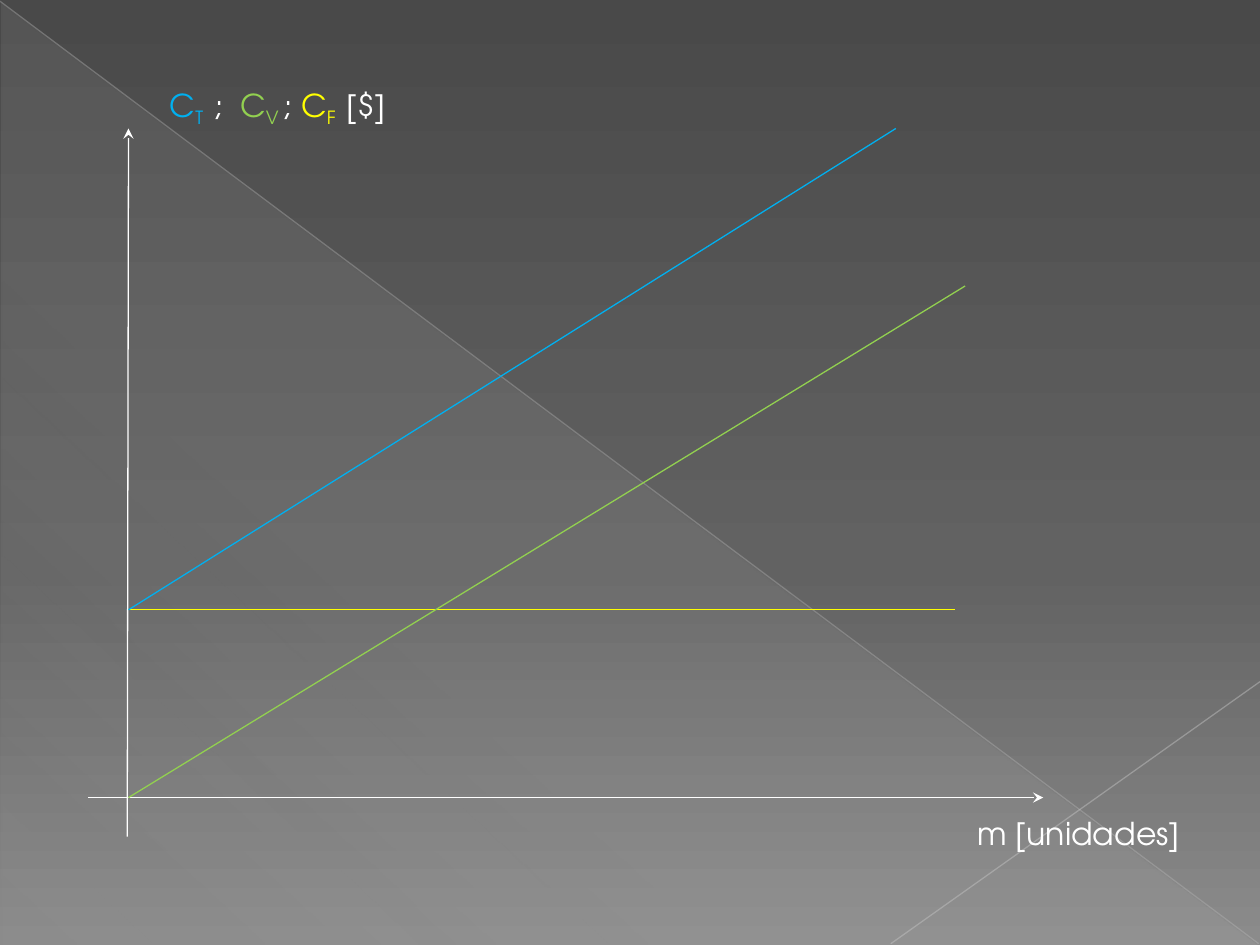
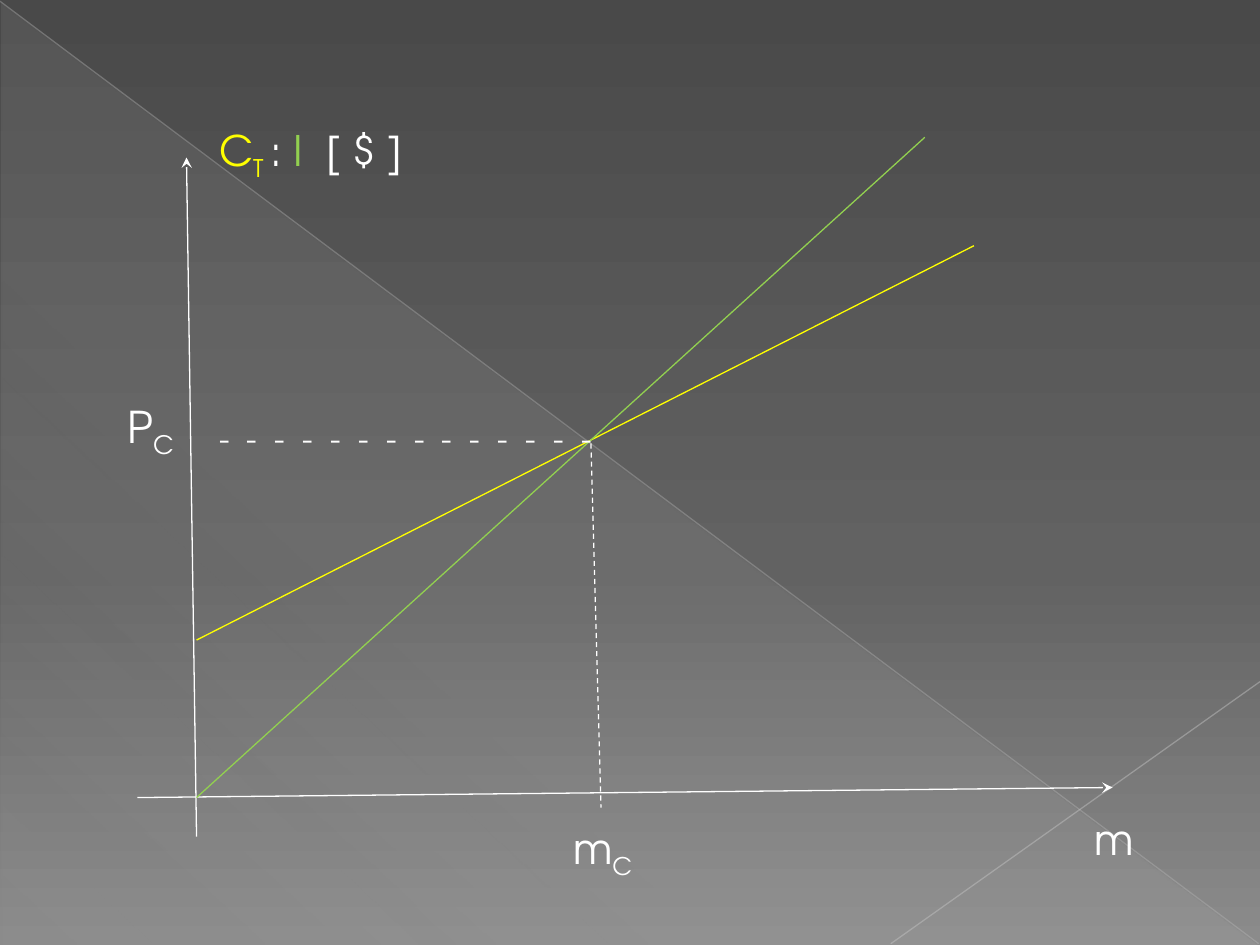
import dataclasses

import lxml.etree
import pptx
import pptx.dml.color
import pptx.enum.dml
import pptx.enum.shapes
import pptx.enum.text
import pptx.oxml.ns
import pptx.util

Inches = pptx.util.Inches
Pt = pptx.util.Pt
qn = pptx.oxml.ns.qn
rgb = pptx.dml.color.RGBColor.from_string


@dataclasses.dataclass(frozen=True)
class Theme:
    font: str = "TeX Gyre Adventor"
    white: str = "FFFFFF"
    yellow: str = "FFFF00"
    green: str = "92D050"
    blue: str = "00B0F0"
    small: int = 18
    large: int = 24
    mark: int = 25
    thin: float = 0.75
    # Gradient stops: position, colour, opacity (all in percent)
    back: tuple = ((0, "494949", 100), (60, "626262", 100), (100, "8B8B8B", 100))
    veil: tuple = ((0, "D2D2D2", 10), (70, "D2D2D2", 8), (100, "D2D2D2", 1))
    # Crossing lines: start, end, colour, opacity
    rays: tuple = (((0, 0.01), (9.99, 7.49), "BEBEBE", 35),
                   ((10, 5.41), (7.07, 7.49), "C5C5C5", 45))


theme = Theme()
SUB = {"baseline": "-25000"}
WIDE_SUB = {**SUB, "spc": "165"}


def add_line(slide, start, end, colour, arrow=False, dash=False, alpha=100):
    line = slide.shapes.add_connector(
        pptx.enum.shapes.MSO_CONNECTOR.STRAIGHT, *map(Inches, start + end))
    line.line.width = Pt(theme.thin)
    line.line.color.rgb = rgb(colour)
    props = line.element.spPr
    if dash:
        line.line.dash_style = pptx.enum.dml.MSO_LINE.DASH
    if alpha < 100:
        tone = props.find(".//" + qn("a:srgbClr"))
        lxml.etree.SubElement(tone, qn("a:alpha"), val=str(alpha * 1000))
    if arrow:
        lxml.etree.SubElement(props.find(qn("a:ln")), qn("a:tailEnd"), type="stealth")
    lxml.etree.SubElement(props, qn("a:effectLst"))


def add_label(slide, box, size, runs, left=0.1):
    """Write runs of (text, colour, run attributes) in one text box."""
    frame = slide.shapes.add_textbox(*map(Inches, box)).text_frame
    layout = {"word_wrap": True, "margin_left": Inches(left),
              "auto_size": pptx.enum.text.MSO_AUTO_SIZE.SHAPE_TO_FIT_TEXT}
    for name, value in layout.items():
        setattr(frame, name, value)
    for text, colour, extra in runs:
        run = frame.paragraphs[0].add_run()
        run.text = text
        for name, value in {"name": theme.font, "size": Pt(size)}.items():
            setattr(run.font, name, value)
        run.font.color.rgb = rgb(colour)
        for name, value in extra.items():
            run.font._element.set(name, value)


# Each line: start, end, colour, options
costs = {
    "lines": [
        ((1.01, 6.64), (1.02, 1.02), theme.white, {"arrow": True}),
        ((0.7, 6.33), (8.28, 6.33), theme.white, {"arrow": True}),
        ((1.02, 4.84), (7.58, 4.84), theme.yellow, {}),
        ((1.02, 6.33), (7.66, 2.27), theme.green, {}),
        ((1.02, 4.84), (7.11, 1.02), theme.blue, {}),
    ],
    "labels": [
        ((1.25, 0.63, 2.73, 0.4), theme.small, [
            ("C", theme.blue, {}), ("T ", theme.blue, WIDE_SUB),
            ("; ", theme.white, {"spc": "250"}),
            ("C", theme.green, {}), ("V ", theme.green, SUB),
            ("; ", theme.white, {}),
            ("C", theme.yellow, {}), ("F ", theme.yellow, WIDE_SUB),
            ("[$]", theme.white, {})]),
        ((7.66, 6.41, 2.34, 0.4), theme.small, [("m [unidades]", theme.white, {})]),
    ],
}
balance = {
    "lines": [
        ((1.09, 6.33), (8.83, 6.25), theme.white, {"arrow": True}),
        ((1.56, 6.64), (1.48, 1.25), theme.white, {"arrow": True}),
        ((1.56, 5.08), (7.73, 1.95), theme.yellow, {}),
        ((1.56, 6.33), (7.34, 1.09), theme.green, {}),
        ((4.69, 3.52), (4.77, 6.41), theme.white, {"dash": True}),
    ],
    "labels": [
        ((1.64, 3.28, 3.2, 0.4), theme.small, [
            (" ".join("-" * 14), theme.white, {"spc": "250"})]),
        ((1.64, 0.94, 2.11, 0.5), theme.large, [
            ("C", theme.yellow, {}), ("T ", theme.yellow, SUB),
            (": ", theme.white, {}), ("I ", theme.green, {"spc": "330"}),
            ("[ $ ]", theme.white, {})]),
        ((0.62, 3.12, 1.02, 0.52), theme.mark, [
            ("P", theme.white, {}), ("C", theme.white, SUB)], 0.39),
        ((4.45, 6.48, 0.86, 0.5), theme.large, [
            ("m", theme.white, {}), ("C", theme.white, SUB)]),
        ((8.59, 6.41, 0.94, 0.5), theme.large, [("m", theme.white, {})]),
    ],
}

deck = pptx.Presentation()
deck.slide_width, deck.slide_height = Inches(10), Inches(7.5)

for graph in (costs, balance):
    slide = deck.slides.add_slide(deck.slide_layouts[6])
    wedge = slide.shapes.add_shape(
        pptx.enum.shapes.MSO_SHAPE.RIGHT_TRIANGLE,
        *map(Inches, (0.01, 0.02, 9.98, 7.48)))
    wedge.shadow.inherit = False
    wedge.line.fill.background()

    # Angles run counterclockwise
    for owner, fill, stops, angle in (
            (slide.element, slide.background.fill, theme.back, 270),
            (wedge.element, wedge.fill, theme.veil, 227)):
        fill.gradient()
        fill.gradient_angle = angle
        ramp = owner.find(".//" + qn("a:gsLst"))
        for stop in list(ramp):
            ramp.remove(stop)
        for place, colour, alpha in stops:
            stop = lxml.etree.SubElement(ramp, qn("a:gs"), pos=str(place * 1000))
            tone = lxml.etree.SubElement(stop, qn("a:srgbClr"), val=colour)
            lxml.etree.SubElement(tone, qn("a:alpha"), val=str(alpha * 1000))

    for start, end, colour, alpha in theme.rays:
        add_line(slide, start, end, colour, alpha=alpha)
    for start, end, colour, style in graph["lines"]:
        add_line(slide, start, end, colour, **style)
    for label in graph["labels"]:
        add_label(slide, *label)

deck.save("out.pptx")
